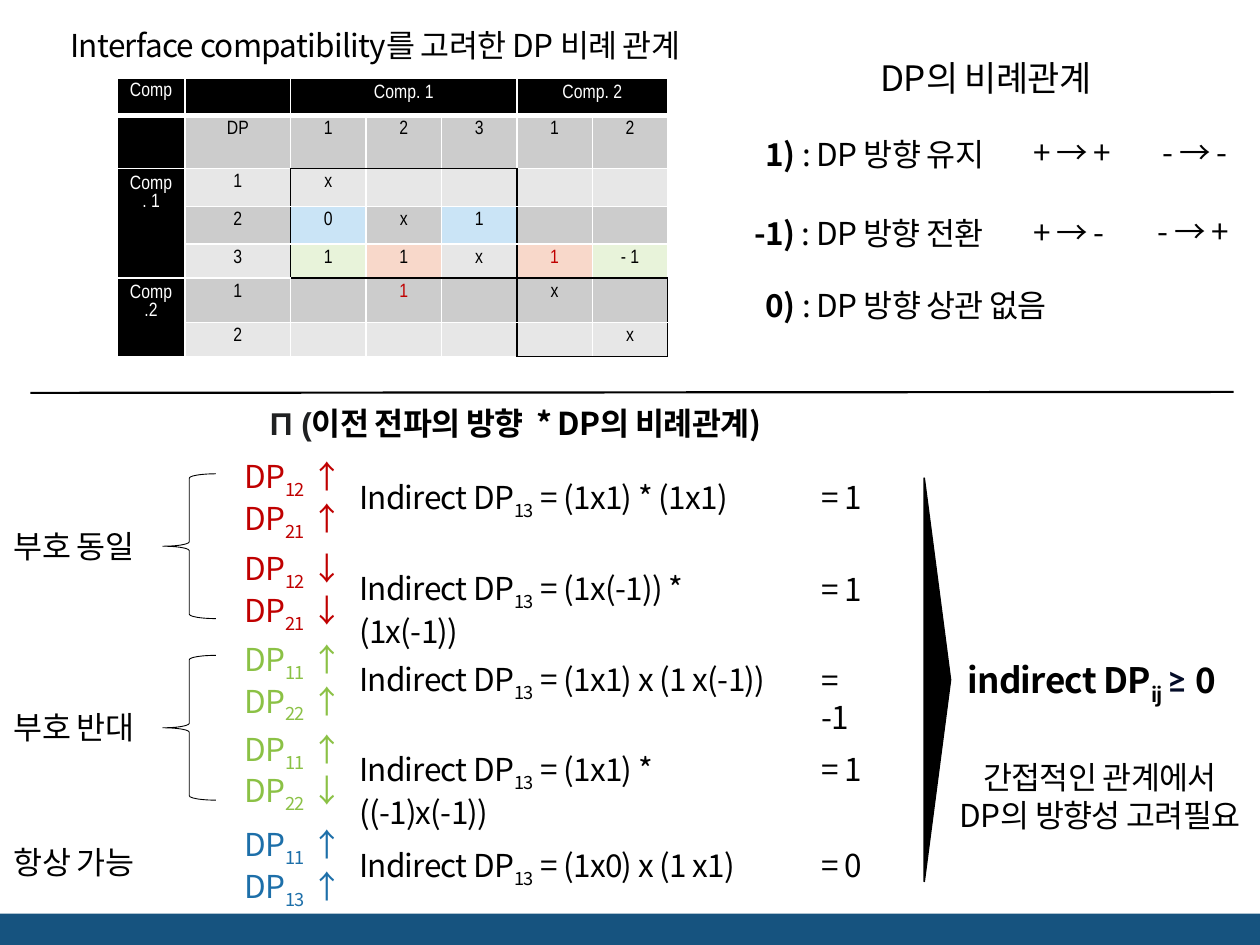
from dataclasses import dataclass
from typing import NamedTuple

from lxml.etree import SubElement
from pptx import Presentation
from pptx.dml.color import RGBColor
from pptx.enum.shapes import MSO_CONNECTOR, MSO_SHAPE
from pptx.enum.text import MSO_ANCHOR, MSO_AUTO_SIZE, PP_ALIGN
from pptx.oxml.ns import qn
from pptx.util import Cm, Pt

COLOURS = {
    "black": "000000", "white": "FFFFFF", "footer": "16537F", "ink": "202122",
    "navy": "040C28", "red": "C00000", "green": "8BC145", "blue": "1D6FA9",
    "dark": "CCCCCC", "light": "E7E7E7", "sky": "CAE4F6", "lime": "E8F3DA",
    "peach": "F8D8CA",
}
KOREAN = "Noto Sans CJK KR"
NARROW = "Arial Narrow"


class Span(NamedTuple):
    text: str
    bold: bool = False
    sub: bool = False
    font: str = KOREAN
    colour: str = ""


@dataclass
class Label:
    left: float
    top: float
    width: float
    spans: list[Span]
    size: int = 18


@dataclass
class Step:
    top: float
    colour: str
    inputs: list[tuple[str, str]]
    formula: str
    result: str


def rgb(name: str) -> RGBColor:
    return RGBColor.from_string(COLOURS[name])


def add_spans(para, spans: list[Span], size: int, colour: str = "black") -> None:
    for item in spans:
        span = para.add_run()
        span.text = item.text
        formats = {"size": Pt(size), "bold": item.bold, "name": item.font}
        for name, value in formats.items():
            setattr(span.font, name, value)
        span.font.color.rgb = rgb(item.colour or colour)
        properties = span.font._element
        SubElement(properties, qn("a:ea"), typeface=item.font)
        if item.font == KOREAN:
            properties.set("spc", "-40")
        if item.sub:
            properties.set("baseline", "-25000")


def format_frame(frame, wrap: bool = False, inset: bool = False) -> None:
    formats = {"word_wrap": wrap, "auto_size": MSO_AUTO_SIZE.SHAPE_TO_FIT_TEXT,
               "vertical_anchor": MSO_ANCHOR.TOP}
    if not inset:
        formats |= {f"margin_{side}": 0 for side in ("left", "top", "right", "bottom")}
    for name, value in formats.items():
        setattr(frame, name, value)


def add_label(page, label: Label, colour: str = "black", inset: bool = False):
    height = label.size * 0.0425 + (0.25 if inset else 0)
    box = page.shapes.add_textbox(Cm(label.left), Cm(label.top), Cm(label.width), Cm(height))
    format_frame(box.text_frame, inset=inset)
    add_spans(box.text_frame.paragraphs[0], label.spans, label.size, colour)
    return box


def add_figure(page, kind, left, top, width, height, fill="", line="", weight=1.0, turn=0):
    shape = page.shapes.add_shape(kind, Cm(left), Cm(top), Cm(width), Cm(height))
    shape.shadow.inherit = False
    shape.rotation = turn
    if fill:
        shape.fill.solid()
        shape.fill.fore_color.rgb = rgb(fill)
    else:
        shape.fill.background()
    if line:
        shape.line.color.rgb = rgb(line)
        shape.line.width = Pt(weight)
    else:
        shape.line.fill.background()


# Compatibility table
COLUMNS = [1.37, 2.13] + [1.52] * 5
ROWS = [0.76, 1.07, 0.76, 0.76, 0.69, 0.89, 0.69]
CELLS = [
    ["Comp", "", "Comp. 1", "", "", "Comp. 2", ""],
    ["", "DP", "1", "2", "3", "1", "2"],
    ["Comp. 1", "1", "x", "", "", "", ""],
    ["", "2", "0", "x", "1", "", ""],
    ["", "3", "1", "1", "x", "1", "- 1"],
    ["Comp.2", "1", "", "1", "", "x", ""],
    ["", "2", "", "", "", "", "x"],
]
MERGES = [(0, 2, 0, 4), (0, 5, 0, 6), (2, 0, 4, 0), (5, 0, 6, 0)]
TINTS = {(3, 2): "sky", (3, 4): "sky", (4, 2): "lime", (4, 3): "peach",
         (4, 5): "peach", (4, 6): "lime"}
RED_CELLS = {(4, 5), (5, 3)}
SIDES = {"L": (0, -1), "R": (0, 1), "T": (-1, 0), "B": (1, 0)}


def block(row: int, column: int) -> int:
    """Number of the component whose outlined block holds the cell, or 0."""
    if 2 <= row <= 4 and 2 <= column <= 4:
        return 1
    return 2 if 5 <= row <= 6 and 5 <= column <= 6 else 0


def format_cell(cell, row: int, column: int) -> None:
    header = row == 0 or column == 0
    properties = cell._tc.get_or_add_tcPr()
    for side, (down, right) in SIDES.items():
        outlined = block(row, column) != block(row + down, column + right)
        heavy = (row, side) in ((0, "B"), (1, "T"))
        line = SubElement(properties, qn(f"a:ln{side}"), w=str(Pt(3 if heavy else 1)))
        fill = SubElement(line, qn("a:solidFill"))
        SubElement(fill, qn("a:srgbClr"), val=COLOURS["black" if outlined else "white"])
    cell.fill.solid()
    band = "light" if row % 2 == 0 else "dark"
    cell.fill.fore_color.rgb = rgb("black" if header else TINTS.get((row, column), band))
    wide = cell.is_merge_origin
    across, along = (Cm(0.25), Cm(0.13)) if wide else (Cm(0.18), Cm(0.1))
    for side, value in {"left": across, "right": across, "top": along, "bottom": along}.items():
        setattr(cell, f"margin_{side}", value)
    if wide and column == 0:
        properties.set("vert", "eaVert")
    para = cell.text_frame.paragraphs[0]
    para.alignment = PP_ALIGN.CENTER
    if CELLS[row][column]:
        colour = "white" if header else "red" if (row, column) in RED_CELLS else "black"
        add_spans(para, [Span(CELLS[row][column], font=NARROW)], 11, colour)
    else:
        SubElement(para._p, qn("a:endParaRPr"), sz="1100")


def add_compatibility_table(page) -> None:
    table = page.shapes.add_table(len(ROWS), len(COLUMNS), Cm(2.36), Cm(1.57),
                                  Cm(sum(COLUMNS)), Cm(sum(ROWS))).table
    for column, width in zip(table.columns, COLUMNS):
        column.width = Cm(width)
    for row, height in zip(table.rows, ROWS):
        row.height = Cm(height)
    for top, left, bottom, right in MERGES:
        table.cell(top, left).merge(table.cell(bottom, right))
    for row in range(len(ROWS)):
        for column in range(len(COLUMNS)):
            format_cell(table.cell(row, column), row, column)


# Free-standing labels
LABELS = [
    Label(17.75, 1.14, 4.62, [Span("DP의 비례관계")], 20),
    Label(15.44, 2.72, 4.85, [Span("1) ", True), Span(": DP 방향 유지")]),
    Label(15.21, 4.32, 5.31, [Span("-1) ", True), Span(": DP 방향 전환")]),
    Label(15.44, 5.77, 6.32, [Span("0)", True), Span(" : DP 방향 상관 없음")]),
    Label(20.83, 2.69, 1.9, [Span("+ → +")]),
    Label(23.44, 2.69, 1.52, [Span("- → -")]),
    Label(20.83, 4.29, 1.73, [Span("+ → -")]),
    Label(23.34, 4.27, 1.73, [Span("- → +")]),
    Label(5.44, 8.15, 11.3, [Span("Π (", True, font="Arial", colour="ink"),
                             Span("이전 전파의 방향  * DP의 비례관계)", True)]),
    Label(0.28, 10.62, 2.72, [Span("부호 동일")]),
    Label(0.28, 14.27, 2.72, [Span("부호 반대")]),
    Label(0.28, 16.99, 2.72, [Span("항상 가능")]),
    Label(19.5, 13.28, 5.3, [Span("indirect DP", True), Span("ij ", True, True),
                             Span("≥ ", True, font="Lato", colour="navy"),
                             Span("0", True)], 20),
]
STEPS = [
    Step(9.22, "red", [("12", "↑"), ("21", "↑")], "(1x1) * (1x1)", "1"),
    Step(11.07, "red", [("12", "↓"), ("21", "↓")], "(1x(-1)) * (1x(-1))", "1"),
    Step(12.9, "green", [("11", "↑"), ("22", "↑")], "(1x1) x (1 x(-1))", "-1"),
    Step(14.71, "green", [("11", "↑"), ("22", "↓")], "(1x1) * ((-1)x(-1))", "1"),
    Step(16.64, "blue", [("11", "↑"), ("13", "↑")], "(1x0) x (1 x1)", "0"),
]


def add_step(page, step: Step) -> None:
    for index, (pair, arrow) in enumerate(step.inputs):
        spans = [Span("DP"), Span(pair, sub=True), Span(f" {arrow}")]
        add_label(page, Label(4.93, step.top + 0.84 * index, 2.06, spans), step.colour)
    spans = [Span("Indirect DP"), Span("13", sub=True), Span(f" = {step.formula}")]
    add_label(page, Label(7.24, step.top + 0.41, 8.4, spans))
    add_label(page, Label(16.31, step.top + 0.29, 1.5, [Span(f"= {step.result}")]), inset=True)


def main() -> None:
    deck = Presentation()
    deck.slide_width, deck.slide_height = Cm(25.4), Cm(19.05)
    page = deck.slides.add_slide(deck.slide_layouts[5])
    # Title and footer bar
    title = page.shapes.title
    title.left, title.top, title.width, title.height = Cm(1.42), Cm(0.53), Cm(12.9), Cm(0.76)
    format_frame(title.text_frame, wrap=True)
    title.text_frame.paragraphs[0].alignment = PP_ALIGN.LEFT
    add_spans(title.text_frame.paragraphs[0],
              [Span("Interface compatibility를 고려한 DP 비례 관계")], 18)
    add_figure(page, MSO_SHAPE.RECTANGLE, 0, 18.42, 25.4, 0.63, fill="footer")
    add_compatibility_table(page)
    # Divider
    divider = page.shapes.add_connector(MSO_CONNECTOR.STRAIGHT, Cm(0.61), Cm(7.92),
                                        Cm(24.87), Cm(7.9))
    divider.line.color.rgb = rgb("black")
    divider.line.width = Pt(1.25)
    SubElement(divider._element.spPr, qn("a:effectLst"))
    # Labels, calculations, braces and conclusion
    for label in LABELS:
        add_label(page, label)
    for step in STEPS:
        add_step(page, step)
    for top in (9.55, 13.21):
        add_figure(page, MSO_SHAPE.RIGHT_BRACE, 3.28, top, 1.07, 2.92,
                   line="black", weight=0.5, turn=180)
    add_figure(page, MSO_SHAPE.ISOSCELES_TRIANGLE, 14.83, 13.44, 8.13, 0.53,
               fill="black", line="black", turn=90)
    note = add_label(page, Label(18.95, 15.29, 6.45, [Span("간접적인 관계에서")]))
    add_spans(note.text_frame.add_paragraph(), [Span("DP의 방향성 고려필요")], 18)
    for para in note.text_frame.paragraphs:
        para.alignment = PP_ALIGN.CENTER
    deck.save("out.pptx")


if __name__ == "__main__":
    main()
